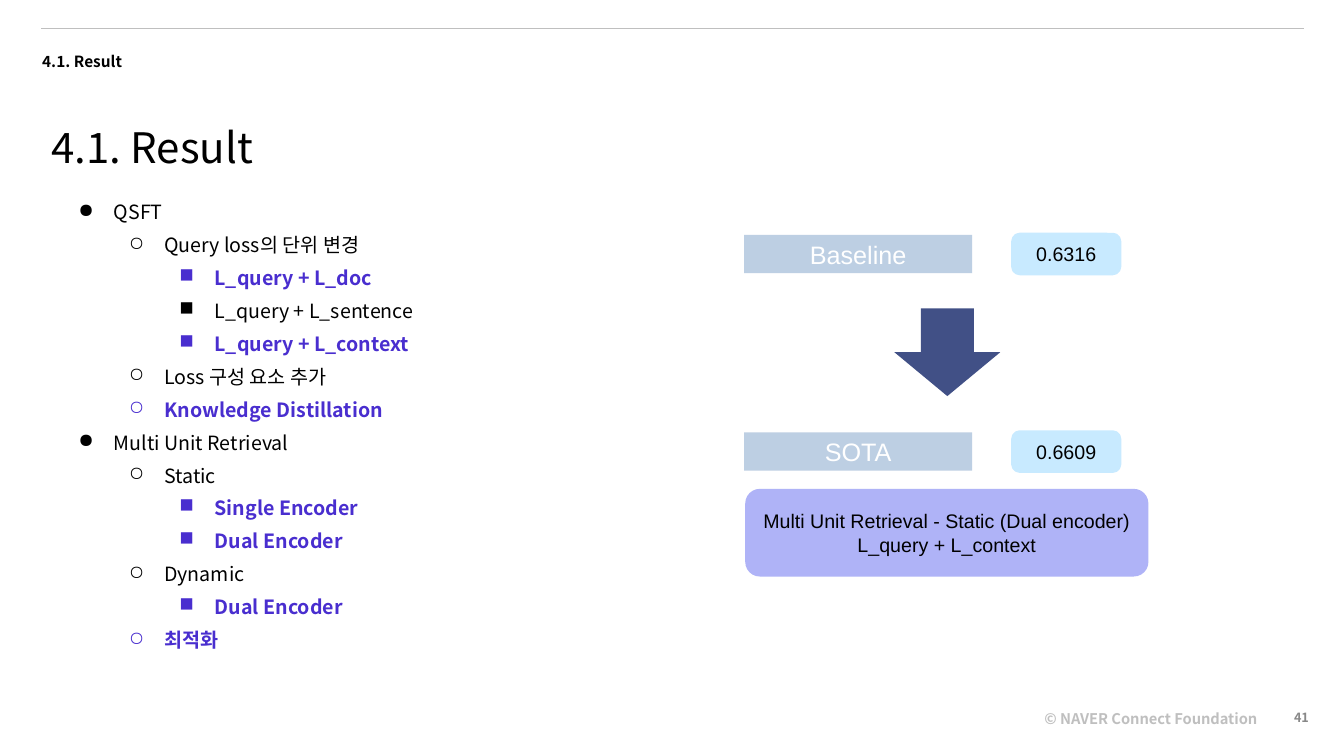
from lxml.etree import SubElement
from pptx import Presentation
from pptx.dml.color import RGBColor
from pptx.enum.shapes import MSO_CONNECTOR as CONN, MSO_SHAPE as SHAPE
from pptx.enum.text import MSO_ANCHOR as ANCHOR, MSO_AUTO_SIZE as AUTO, PP_ALIGN as ALIGN
from pptx.oxml.ns import qn
from pptx.util import Inches, Pt

SANS, ARIAL = "Noto Sans CJK KR", "Arial"
BLACK, WHITE, GREY, VIOLET = "000000", "FFFFFF", "BFBFBF", "492ECF"
COLS, ROWS = 40, 30


def rgb(code):
    return RGBColor.from_string(code)


class Deck:
    """Style and current slide; lengths are columns and rows of a 40 x 30 grid."""

    def __init__(self):
        self.prs = Presentation()
        self.prs.slide_width, self.prs.slide_height = Inches(13.33), Inches(7.5)
        self.s = self.prs.slides.add_slide(self.prs.slide_layouts[6])

    def grid(self, x, y):
        return int(self.prs.slide_width * x / COLS), int(self.prs.slide_height * y / ROWS)

    def box(self, x, y, w, h):
        return *self.grid(x, y), *self.grid(w, h)

    def run(self, p, text, size, color=BLACK, bold=False, font=SANS):
        r = p.add_run()
        r.text = text
        r.font.size, r.font.bold, r.font.name = Pt(size), bold, font
        r.font.color.rgb = rgb(color)
        SubElement(r.font._element, qn("a:ea"), typeface=font)

    def text(self, at, text, size, color=BLACK, bold=False, spacing=1.0,
             align=ALIGN.LEFT, anchor=ANCHOR.TOP, grow=True):
        tf = self.s.shapes.add_textbox(*self.box(*at)).text_frame
        tf.word_wrap, tf.vertical_anchor = True, anchor
        tf.auto_size = AUTO.SHAPE_TO_FIT_TEXT if grow else AUTO.NONE
        p = tf.paragraphs[0]
        p.alignment, p.line_spacing = align, spacing
        self.run(p, text, size, color, bold)

    def bullets(self, at, items, size):
        tf = self.s.shapes.add_textbox(*self.box(*at)).text_frame
        tf.word_wrap = True
        tf.margin_top = tf.margin_bottom = Inches(0.1)
        for i, (level, text, marked) in enumerate(items):
            p = tf.add_paragraph() if i else tf.paragraphs[0]
            color = VIOLET if marked else BLACK
            p.level, p.line_spacing = level, 1.4
            pPr = p._p.get_or_add_pPr()
            pPr.set("marL", str(Inches(0.5 * (level + 1))))
            pPr.set("indent", str(Inches(-0.35)))
            SubElement(SubElement(pPr, qn("a:buClr")), qn("a:srgbClr"), val=color)
            SubElement(pPr, qn("a:buChar"), char="●○■"[level])
            self.run(p, text, size, color, marked)

    def shape(self, kind, at, fill, lines=(), size=14, color=BLACK, outline=0):
        sp = self.s.shapes.add_shape(kind, *self.box(*at))
        sp.shadow.inherit = False
        sp.fill.solid()
        sp.fill.fore_color.rgb = rgb(fill)
        if outline:
            sp.line.color.rgb, sp.line.width = rgb(fill), Pt(outline)
        else:
            sp.line.fill.background()
        tf = sp.text_frame
        tf.word_wrap, tf.vertical_anchor = True, ANCHOR.MIDDLE
        for i, line in enumerate(lines):
            p = tf.add_paragraph() if i else tf.paragraphs[0]
            p.alignment = ALIGN.CENTER
            self.run(p, line, size, color, font=ARIAL)

    def rule(self, start, end, color, width):
        c = self.s.shapes.add_connector(CONN.STRAIGHT, *self.grid(*start), *self.grid(*end))
        c.line.color.rgb, c.line.width = rgb(color), Pt(width)
        SubElement(c._element.spPr, qn("a:effectLst"))


def main():
    d = Deck()

    # Header and footer
    d.text((0.96, 1.2, 15.12, 1.16), "4.1. Result", 11, bold=True, spacing=1.91)
    d.rule((1.23, 1.12), (38.8, 1.12), GREY, 0.75)
    d.text((30.79, 27.92, 7.17, 1.12), "© NAVER Connect Foundation", 10.5, GREY, True, 1.1)
    d.text((36.61, 27.68, 2.64, 1.6), "41", 9, "888888", True,
           align=ALIGN.RIGHT, anchor=ANCHOR.MIDDLE, grow=False)

    # Outline: level, text, highlighted
    d.bullets((1.59, 7.16, 16.68, 20.12), [
        (0, "QSFT", False),
        (1, "Query loss의 단위 변경", False),
        (2, "L_query + L_doc", True),
        (2, "L_query + L_sentence", False),
        (2, "L_query + L_context", True),
        (1, "Loss 구성 요소 추가", False),
        (1, "Knowledge Distillation", True),
        (0, "Multi Unit Retrieval", False),
        (1, "Static", False),
        (2, "Single Encoder", True),
        (2, "Dual Encoder", True),
        (1, "Dynamic", False),
        (2, "Dual Encoder", True),
        (1, "최적화", True),
    ], 14)

    # Scores before and after
    for y, label, score in ((9.32, "Baseline", "0.6316"), (17.16, "SOTA", "0.6609")):
        d.shape(SHAPE.ROUNDED_RECTANGLE, (30.16, y, 3.15, 1.52), "C8EAFF", [score], outline=3)
        d.shape(SHAPE.RECTANGLE, (22.15, y, 6.78, 1.52), "BDCFE3", [label], 18, WHITE)
    d.shape(SHAPE.DOWN_ARROW, (26.62, 12.24, 3.15, 3.48), "415086")

    # Best configuration
    d.shape(SHAPE.ROUNDED_RECTANGLE, (22.18, 19.4, 12, 3.48), "AFB3F7",
            ["Multi Unit Retrieval - Static (Dual encoder)", "L_query + L_context"])

    # Title
    d.text((1.23, 3.88, 32.71, 2.44), "4.1. Result", 30, spacing=1.38)

    d.prs.save("out.pptx")


if __name__ == "__main__":
    main()
